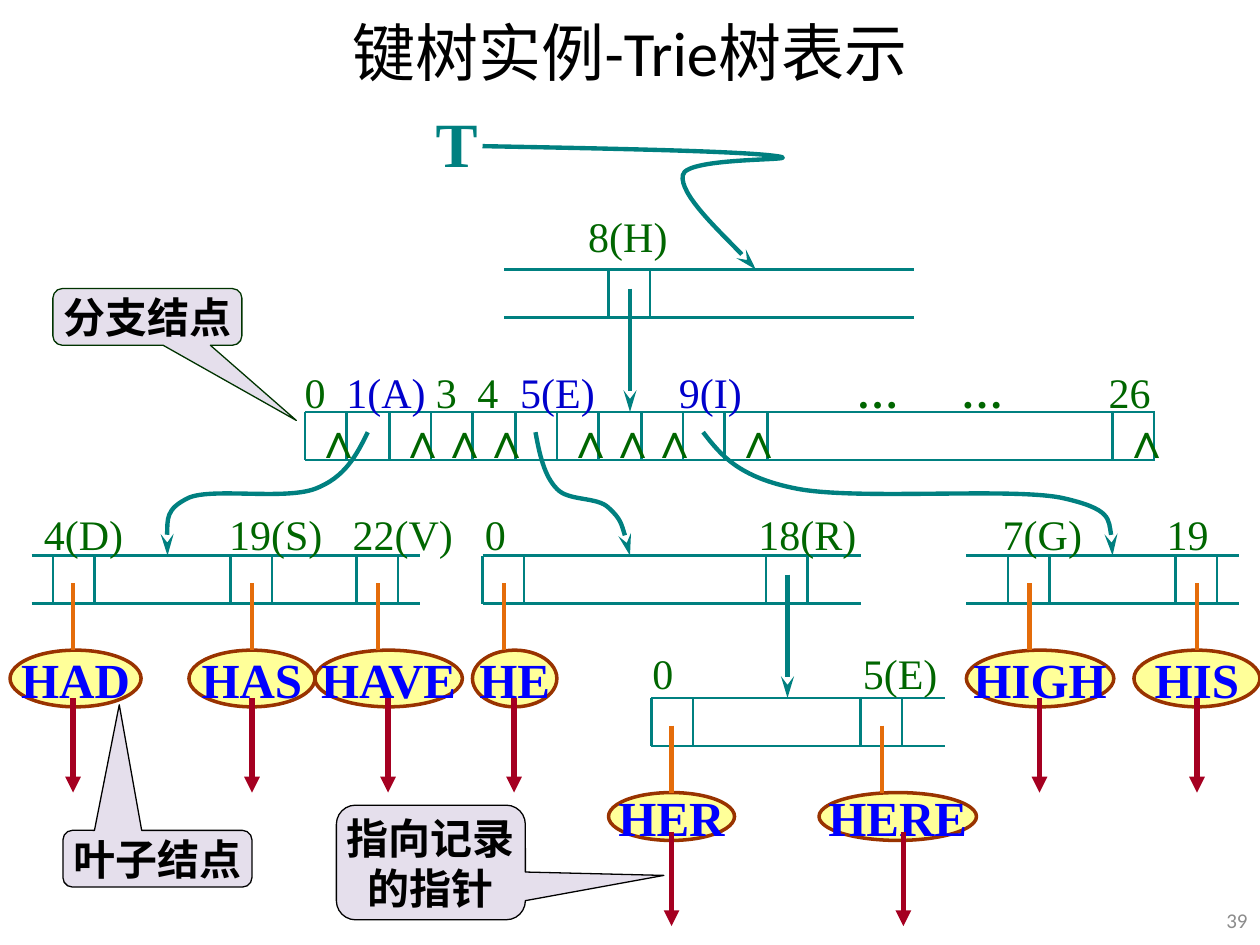
from dataclasses import dataclass
from lxml.etree import SubElement
from pptx import Presentation
from pptx.dml.color import RGBColor
from pptx.enum.shapes import MSO_CONNECTOR, MSO_SHAPE
from pptx.enum.text import MSO_ANCHOR, PP_ALIGN
from pptx.oxml.ns import qn
from pptx.util import Inches, Pt


@dataclass(frozen=True)
class Theme:
    """Colours, fonts and type sizes of the slide."""
    black: str = "000000"
    teal: str = "008080"
    green: str = "006600"
    dark_green: str = "003300"
    blue: str = "0000CC"
    leaf_text: str = "0000FF"
    leaf_fill: str = "FFFF99"
    leaf_line: str = "993300"
    stem: str = "E46C0A"
    pointer: str = "A50021"
    callout: str = "CCC1DA"
    grey: str = "8C8C8C"
    serif: str = "Times New Roman"
    sans: str = "Calibri"
    title_size: int = 36
    leaf_size: int = 28
    label_size: int = 24
    number_size: int = 12


THEME = Theme()
CELL_WIDTH = 1 / 3
CELL_HEIGHT = 0.38
ROOT_TOP, BRANCH_TOP, LEVEL_TOP, LOWER_TOP = 2.14, 3.27, 4.41, 5.54
HEAD_LENGTHS = {"stealth": "lg", "triangle": "med"}

NODES = [
    (4, 7.25, ROOT_TOP, [4.83]),
    (2.42, 9.17, BRANCH_TOP, [2.42 + CELL_WIDTH * cell for cell in range(11)] + [8.83]),
    (0.25, 3.33, LEVEL_TOP, [0.42, 1.83, 2.83]),
    (3.83, 6.83, LEVEL_TOP, [3.83, 6.08]),
    (7.67, 9.83, LEVEL_TOP, [8, 9.33]),
    (5.17, 7.5, LOWER_TOP, [5.17, 6.83]),
]
LABEL_ROWS = [
    (1.62, [(4.67, "8(H)", THEME.green)]),
    (2.86, [(2.42, "0", THEME.green), (2.75, "1(A)", THEME.blue),
            (3.46, "3", THEME.green), (3.79, "4", THEME.green),
            (4.13, "5(E)", THEME.blue), (5.39, "9(I)", THEME.blue),
            (6.8, "…", THEME.green), (7.63, "…", THEME.green),
            (8.8, "26", THEME.green)]),
    (3.99, [(left, text, THEME.green) for left, text in [
        (0.35, "4(D)"), (1.82, "19(S)"), (2.8, "22(V)"), (3.85, "0"),
        (6.02, "18(R)"), (7.96, "7(G)"), (9.26, "19")]]),
    (5.09, [(5.18, "0", THEME.green), (6.85, "5(E)", THEME.green)]),
]
CURVES = [
    [(3.83, 1.16), (4.87, 1.18), (5.9, 1.2), (6.17, 1.24), (6.43, 1.28),
     (5.44, 1.24), (5.42, 1.39), (5.39, 1.54), (5.9, 2.02), (6, 2.14)],
    [(2.92, 3.43), (2.83, 3.61), (2.74, 3.79), (2.5, 3.88), (2.26, 3.97),
     (1.69, 3.87), (1.5, 3.95), (1.31, 4.04), (1.32, 4.22), (1.33, 4.41)],
    [(4.25, 3.43), (4.28, 3.6), (4.32, 3.78), (4.42, 3.88), (4.51, 3.98),
     (4.74, 3.94), (4.83, 4.03), (4.93, 4.12), (4.97, 4.26), (5, 4.41)],
    [(5.58, 3.43), (5.72, 3.61), (5.86, 3.79), (6.33, 3.88), (6.81, 3.97),
     (8, 3.87), (8.42, 3.95), (8.83, 4.04), (8.83, 4.22), (8.83, 4.41)],
]
LEAVES = [
    ("HAD", 0.08, 1.04, 0.58, 0.58, LEVEL_TOP),
    ("HAS", 1.5, 1, 2, 2, LEVEL_TOP),
    ("HAVE", 2.5, 1.17, 3, 3.08, LEVEL_TOP),
    ("HE", 3.75, 0.67, 4, 4.08, LEVEL_TOP),
    ("HER", 4.83, 1, 5.33, 5.33, LOWER_TOP),
    ("HERE", 6.5, 1.25, 7, 7.17, LOWER_TOP),
    ("HIGH", 7.67, 1.17, 8.17, 8.25, LEVEL_TOP),
    ("HIS", 9, 1, 9.5, 9.5, LEVEL_TOP),
]
EMPTY_CELLS = [0, 2, 3, 4, 6, 7, 8, 10]
CALLOUTS = [
    ("叶子结点", (0.5, 6.59, 1.5, 0.45), (-0.202, -2.715), THEME.black),
    ("分支结点", (0.42, 2.29, 1.5, 0.45), (0.788, 1.826), THEME.dark_green),
    ("指向记录\n的指针", (2.67, 6.39, 1.5, 0.91), (1.233, 0.113), THEME.black),
]


def style_run(run, size, color, bold=False, font=THEME.serif):
    """Set the font of one run."""
    run.font.name, run.font.size, run.font.bold = font, Pt(size), bold
    run.font.color.rgb = RGBColor.from_string(color)


def write_text(shape, text, size, color, bold=False, font=THEME.serif,
               align=PP_ALIGN.CENTER, wrap=False):
    """Fill a shape with uniformly styled text."""
    shape.text_frame.text = text
    shape.text_frame.word_wrap = wrap
    for paragraph in shape.text_frame.paragraphs:
        paragraph.alignment = align
        for run in paragraph.runs:
            style_run(run, size, color, bold, font)


def style_line(shape, color, width, head=None):
    """Set the outline and an optional arrowhead at its end."""
    shape.line.color.rgb = RGBColor.from_string(color)
    shape.line.width = Pt(width)
    if head:
        SubElement(shape._element.spPr.find(qn("a:ln")), qn("a:tailEnd"),
                   type=head, w="med", len=HEAD_LENGTHS[head])


def add_line(slide, start, end, color=THEME.teal, width=1.5, head=None):
    """Draw a straight line or arrow."""
    line = slide.shapes.add_connector(
        MSO_CONNECTOR.STRAIGHT, *map(Inches, start + end))
    style_line(line, color, width, head)
    SubElement(line._element.spPr, qn("a:effectLst"))


def add_curve(slide, points):
    """Draw a curved arrow through cubic segments."""
    start, *rest = [(Inches(left), Inches(top)) for left, top in points]
    builder = slide.shapes.build_freeform(*start)
    builder.add_line_segments(rest, close=False)
    shape = builder.convert_to_shape()
    shape.shadow.inherit = False
    shape.fill.background()
    style_line(shape, THEME.teal, 2.5, "stealth")
    outline = shape._element.find(".//" + qn("a:path"))
    for index, segment in enumerate(outline.findall(qn("a:lnTo"))):
        if index % 3 == 0:
            curve = SubElement(outline, qn("a:cubicBezTo"))
        curve.append(segment[0])
        outline.remove(segment)


def add_node(slide, left, right, top, cells):
    """Draw a node as two rails with the borders of its cells."""
    bottom = top + CELL_HEIGHT
    for rail in (bottom, top):
        add_line(slide, (left, rail), (right, rail))
    edges = {round(cell + side, 2) for cell in cells for side in (0, CELL_WIDTH)}
    for edge in sorted(edges):
        add_line(slide, (edge, top), (edge, bottom))


def add_text(slide, box, text, size, color, **style):
    """Add a text box with one style."""
    shape = slide.shapes.add_textbox(*map(Inches, box))
    write_text(shape, text, size, color, **style)
    return shape


def add_label_row(slide, top, labels):
    """Add index labels in one line, aligned by tab stops."""
    first, last = labels[0][0], labels[-1][0]
    shape = slide.shapes.add_textbox(*map(Inches, (first - 0.1, top, last - first + 1, 0.5)))
    shape.text_frame.word_wrap = True
    paragraph = shape.text_frame.paragraphs[0]
    stops = SubElement(paragraph._p.get_or_add_pPr(), qn("a:tabLst"))
    for index, (left, text, color) in enumerate(labels):
        run = paragraph.add_run()
        run.text = "\t" + text if index else text
        style_run(run, THEME.label_size, color, bold=text == "…")
        if index:
            SubElement(stops, qn("a:tab"), pos=str(Inches(left - first)), algn="l")


def add_filled(slide, kind, box, fill, line, width):
    """Add a filled preset shape with its text in the middle."""
    shape = slide.shapes.add_shape(kind, *map(Inches, box))
    shape.shadow.inherit = False
    shape.fill.solid()
    shape.fill.fore_color.rgb = RGBColor.from_string(fill)
    style_line(shape, line, width)
    shape.text_frame.vertical_anchor = MSO_ANCHOR.MIDDLE
    return shape


def add_leaf(slide, word, left, width, stem, pointer, node_top):
    """Add a leaf with its stem and record pointer."""
    top = node_top + 0.75
    height = 0.45 if node_top == LEVEL_TOP else 0.38
    start = top + height - 0.07
    leaf = add_filled(slide, MSO_SHAPE.OVAL, (left, top, width, height),
                      THEME.leaf_fill, THEME.leaf_line, 2)
    write_text(leaf, word, THEME.leaf_size, THEME.leaf_text, bold=True)
    add_line(slide, (stem, node_top + 0.22), (stem, top), THEME.stem, 2.5)
    add_line(slide, (pointer, start), (pointer, start + 0.75), THEME.pointer, 3, "triangle")


def add_callout(slide, text, box, tip, line):
    """Add a translucent callout pointing at its tip."""
    shape = add_filled(slide, MSO_SHAPE.ROUNDED_RECTANGULAR_CALLOUT, box,
                       THEME.callout, line, 0.75)
    shape.adjustments[0], shape.adjustments[1] = tip
    color = shape._element.spPr.find(qn("a:solidFill"))[0]
    SubElement(color, qn("a:alpha"), val="50000")
    write_text(shape, text, THEME.label_size, THEME.black, bold=True)


def add_title(slide, text):
    """Place and format the title."""
    title = slide.shapes.title
    title.left, title.top, title.width, title.height = map(Inches, (0.5, -0.03, 9, 0.87))
    title.text_frame.vertical_anchor = MSO_ANCHOR.MIDDLE
    write_text(title, text, THEME.title_size, THEME.black, font=THEME.sans, wrap=True)


def main():
    """Build the trie slide."""
    presentation = Presentation()
    presentation.slide_width, presentation.slide_height = Inches(10), Inches(7.5)
    slide = presentation.slides.add_slide(presentation.slide_layouts[5])
    add_title(slide, "键树实例-Trie树表示")
    for node in NODES:
        add_node(slide, *node)
    for row in LABEL_ROWS:
        add_label_row(slide, *row)
    for left, top in ((5, 2.29), (6.25, 4.56)):
        add_line(slide, (left, top), (left, top + 0.98), width=2.5, head="stealth")
    root = add_text(slide, (3.36, 0.78, 0.56, 0.64), "T", THEME.title_size, THEME.teal,
                    bold=True, align=PP_ALIGN.LEFT, wrap=True)
    root.text_frame.paragraphs[0].space_before = Pt(5)
    for points in CURVES:
        add_curve(slide, points)
    for leaf in LEAVES:
        add_leaf(slide, *leaf)
    for left in [2.4 + CELL_WIDTH * cell for cell in EMPTY_CELLS] + [8.81]:
        add_text(slide, (left, 3.2, 0.44, 0.51), "∧", THEME.leaf_size, THEME.green,
                 align=PP_ALIGN.LEFT)
    for callout in CALLOUTS:
        add_callout(slide, *callout)
    number = add_text(slide, (9.57, 7.1, 0.43, 0.4), "39", THEME.number_size, THEME.grey,
                      font=THEME.sans, align=PP_ALIGN.RIGHT, wrap=True)
    number.text_frame.vertical_anchor = MSO_ANCHOR.MIDDLE
    presentation.save("out.pptx")


if __name__ == "__main__":
    main()
